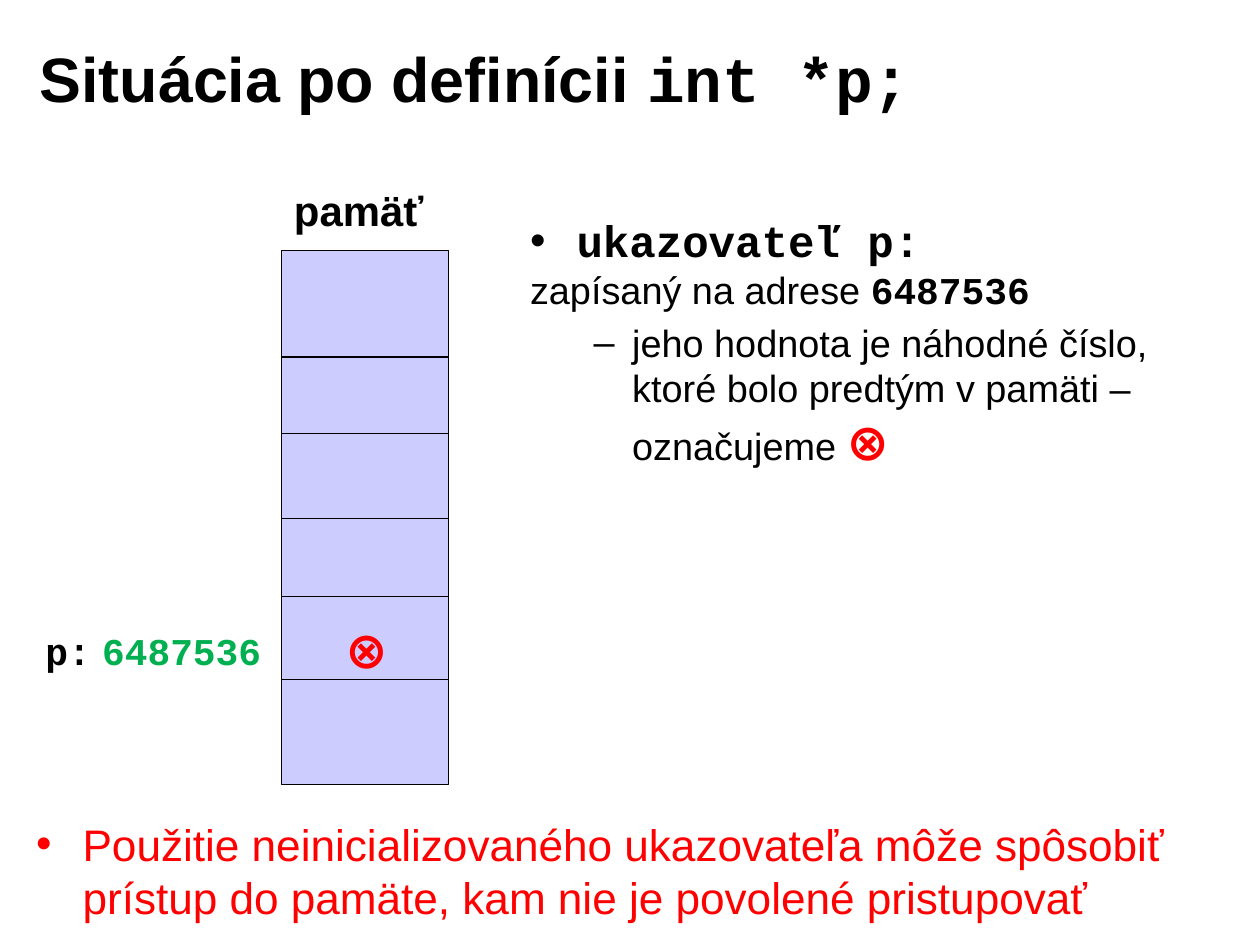
from itertools import accumulate
from lxml import etree
from pptx import Presentation, util as u
from pptx.dml.color import RGBColor
from pptx.enum import shapes, text
from pptx.oxml import ns

COLUMNS, ROWS = 111, 83
CELL = u.Inches(0.1)
SANS, MONO, SYMBOL = "Arial", "Courier New", "Roboto"
BLACK, RED, GREEN, LILAC = "000000", "FF0000", "00B050", "CCCCFF"
ADDRESS, UNKNOWN = "6487536", "⊗"
UNKNOWN_STYLE = (32, SYMBOL, RED, True)
LEFT, CENTER = text.PP_ALIGN.LEFT, text.PP_ALIGN.CENTER


def grid(*cells):
    return [round(cell * CELL) for cell in cells]


def color(value):
    return RGBColor.from_string(value)


def style(font, size, face, tint, bold):
    font.size, font.name, font.bold = u.Pt(size), face, bold
    font.color.rgb = color(tint)


def set_indent(paragraph, margin, hanging, bullet=None):
    properties = paragraph._p.get_or_add_pPr()
    properties.set("marL", str(u.Inches(margin)))
    properties.set("indent", str(-u.Inches(hanging)))
    if bullet:
        etree.SubElement(properties, ns.qn("a:buFont")).set("typeface", SANS)
        etree.SubElement(properties, ns.qn("a:buChar")).set("char", bullet)


def write(paragraph, *pieces, align=LEFT):
    paragraph.alignment = align
    runs = [paragraph.add_run() for _ in pieces]
    for run, (words, _) in zip(runs, pieces):
        run.text = words
    if len(pieces) == 1:
        style(paragraph.font, *pieces[0][1])
    else:
        for run, (_, look) in zip(runs, pieces):
            style(run.font, *look)


def add_text(slide, box, inset=(0.11, 0.06)):
    frame = slide.shapes.add_textbox(*grid(*box)).text_frame
    frame.word_wrap = True
    frame.margin_left = frame.margin_right = u.Inches(inset[0])
    frame.margin_top = frame.margin_bottom = u.Inches(inset[1])
    return frame


def add_label(slide, box, words, look, align=LEFT):
    write(add_text(slide, box).paragraphs[0], (words, look), align=align)


def add_heading(slide, box):
    title = slide.shapes.title
    title.left, title.top, title.width, title.height = grid(*box)
    frame = title.text_frame
    frame.vertical_anchor = text.MSO_ANCHOR.MIDDLE
    frame.auto_size = text.MSO_AUTO_SIZE.NONE
    write(frame.paragraphs[0],
          ("Situácia po definícii ", (39.8, SANS, BLACK, True)),
          ("int *p;", (39.8, MONO, BLACK, True)))


def add_memory(slide, box):
    left, top, width, height = box
    memory = slide.shapes.add_shape(shapes.MSO_SHAPE.RECTANGLE, *grid(*box))
    memory.shadow.inherit = False
    memory.fill.solid()
    memory.fill.fore_color.rgb = color(LILAC)
    memory.line.color.rgb = color(BLACK)
    memory.line.width = u.Pt(0.75)

    dividers = [top + offset for offset in accumulate((9.35, 6.75, 7.5, 6.85, 7.3))]
    for y in dividers:
        divider = slide.shapes.add_connector(
            shapes.MSO_CONNECTOR.STRAIGHT, *grid(left, y, left + width, y))
        divider.line.color.rgb = color(BLACK)
        divider.line.width = u.Pt(0.75)
        etree.SubElement(divider._element.spPr, ns.qn("a:effectLst"))

    pointer_row = dividers[3]
    add_label(slide, (left, top - 6.4, width, 5.6), "pamäť", (26.6, SANS, BLACK, True))
    add_label(slide, (left - 0.7, pointer_row + 1.3, width + 1.7, 6.5),
              UNKNOWN, UNKNOWN_STYLE, CENTER)
    add_label(slide, (left - 21.9, pointer_row + 2.2, 9.7, 5.2),
              "p:", (24, MONO, BLACK, True))
    add_label(slide, (left - 16.9, pointer_row + 2.2, 19.3, 5.2),
              ADDRESS, (24, MONO, GREEN, True))


def add_explanation(slide, box):
    frame = add_text(slide, box)
    pointer = frame.paragraphs[0]
    set_indent(pointer, 0.41, 0.41, "•")
    write(pointer, ("ukazovateľ p:", (28, MONO, BLACK, True)))

    plain = (24, SANS, BLACK, False)
    location = frame.add_paragraph()
    set_indent(location, 0.37, 0.37)
    write(location, ("zapísaný na adrese ", plain), (ADDRESS, (24, MONO, BLACK, True)))

    content = frame.add_paragraph()
    content.level = 1
    content.space_before = u.Pt(5)
    set_indent(content, 0.9, 0.34, "–")
    write(content,
          ("jeho hodnota je náhodné číslo, ktoré bolo predtým v pamäti – označujeme ", plain),
          (UNKNOWN, UNKNOWN_STYLE))


def add_warning(slide, box):
    warning = add_text(slide, box, (0.1, 0.05)).paragraphs[0]
    set_indent(warning, 0.41, 0.41, "•")
    write(warning, ("Použitie neinicializovaného ukazovateľa môže spôsobiť "
                    "prístup do pamäte, kam nie je povolené pristupovať",
                    (28, SANS, RED, False)))


def main():
    deck = Presentation()
    deck.slide_width, deck.slide_height = grid(COLUMNS, ROWS)
    slide = deck.slides.add_slide(deck.slide_layouts[5])
    add_heading(slide, (2.5, 1.7, 89.1, 10.2))
    add_memory(slide, (24.8, 22.1, 14.7, 47))
    add_explanation(slide, (45.6, 18.2, 61.6, 47))
    add_warning(slide, (2.2, 71.5, 106.6, 10.2))
    deck.save("out.pptx")


if __name__ == "__main__":
    main()
